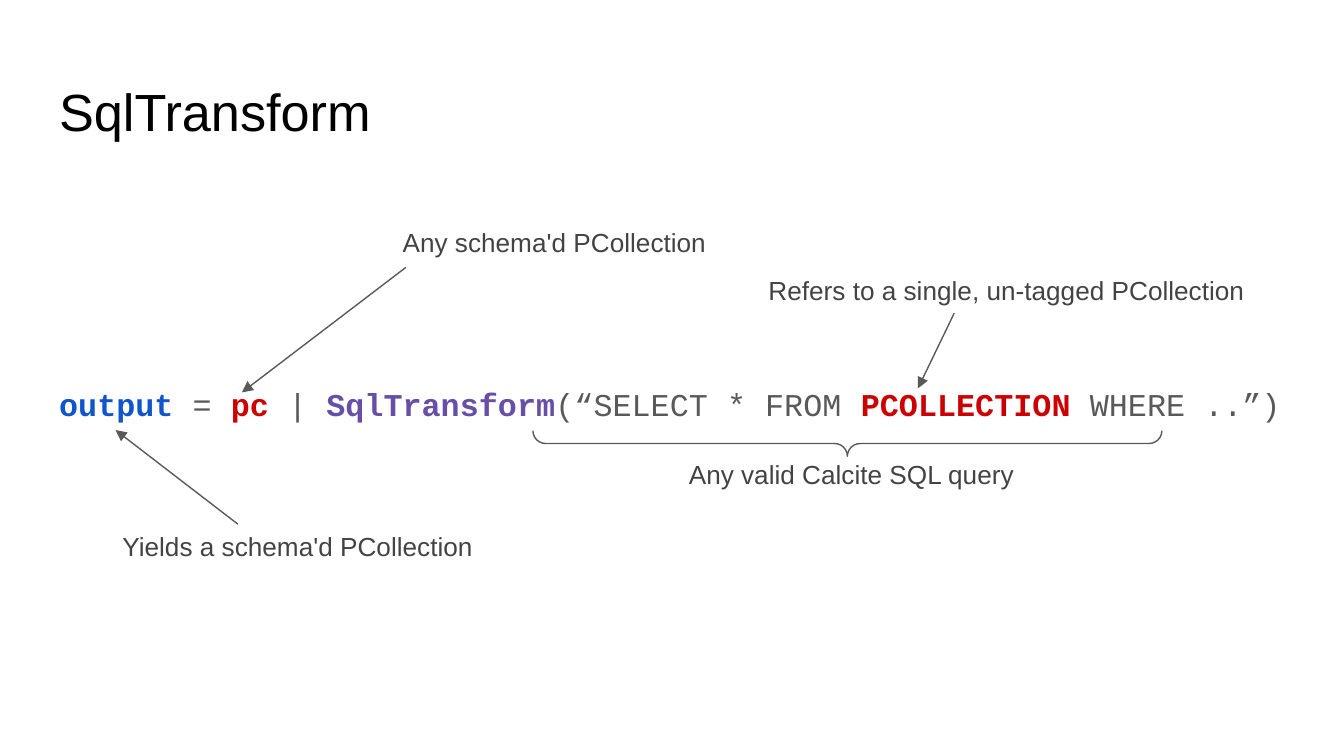
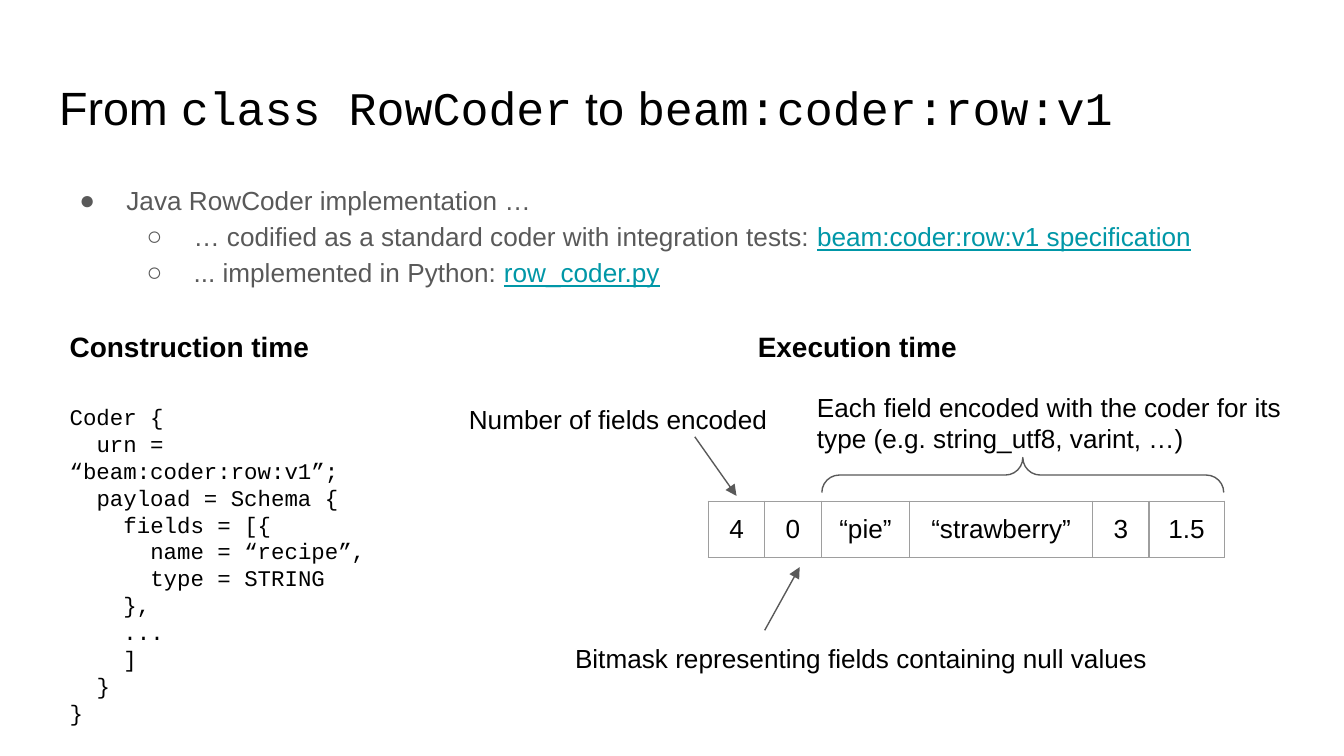
import dataclasses

import lxml.etree
import pptx
import pptx.dml.color
import pptx.enum.shapes
import pptx.enum.text
import pptx.oxml
import pptx.oxml.ns
import pptx.util

RGBColor = pptx.dml.color.RGBColor
ALIGN = pptx.enum.text.PP_ALIGN
ANCHOR = pptx.enum.text.MSO_ANCHOR

BLACK = RGBColor(0x00, 0x00, 0x00)
WHITE = RGBColor(0xFF, 0xFF, 0xFF)
GREY = RGBColor(0x59, 0x59, 0x59)
DARK_GREY = RGBColor(0x43, 0x43, 0x43)
BORDER_GREY = RGBColor(0x9E, 0x9E, 0x9E)
BLUE = RGBColor(0x11, 0x55, 0xCC)
RED = RGBColor(0xCC, 0x00, 0x00)
PURPLE = RGBColor(0x67, 0x4E, 0xA7)
TEAL = RGBColor(0x00, 0x97, 0xA7)

SANS, MONO = "Arial", "Courier New"
SLIDE_WIDTH = pptx.util.Inches(10)
SLIDE_HEIGHT = SLIDE_WIDTH * 9 // 16
COLUMN, ROW = SLIDE_WIDTH / 100, SLIDE_HEIGHT / 56.25
INSET = pptx.util.Inches(0.1)
LINE_WIDTH = pptx.util.Pt(0.75)


@dataclasses.dataclass(frozen=True)
class Style:
    """Character formatting of a run."""
    size: float
    colour: RGBColor = BLACK
    font: str = SANS
    bold: bool = False
    underline: bool = False


@dataclasses.dataclass(frozen=True)
class Box:
    """Area measured in grid columns and rows."""
    left: float
    top: float
    width: float
    height: float

    def inner(self, left, top, width, height):
        """Return an area given relative to this one."""
        return Box(self.left + left, self.top + top, width, height)

    def point(self, column, row):
        """Return the slide position of a grid point in this area."""
        return round((self.left + column) * COLUMN), round((self.top + row) * ROW)

    def emu(self):
        """Return left, top, width and height in slide units."""
        return (*self.point(0, 0), round(self.width * COLUMN), round(self.height * ROW))


TITLE_BOX = Box(3.4, 4.9, 93.2, 6.3)
DIAGRAM_BOX = Box(0, 14, 100, 36)
LIST_BOX = Box(3.4, 12.4, 93.2, 9.1)
CONSTRUCTION_BOX = Box(4.2, 23.5, 29.4, 30.3)
EXECUTION_BOX = Box(33, 23, 65, 28)

NOTE = Style(14, DARK_GREY)
LABEL = Style(14)
HEADING = Style(15, bold=True)
LISTING = Style(12, font=MONO)


def add_runs(paragraph, runs):
    """Append styled runs to a paragraph."""
    for text, style in runs:
        run = paragraph.add_run()
        run.text = text
        font = run.font
        font.name, font.size = style.font, pptx.util.Pt(style.size)
        font.bold, font.underline = style.bold, style.underline
        font.color.rgb = style.colour


def set_frame(frame, anchor=ANCHOR.TOP):
    """Give a text frame the shared insets, wrapping and anchor."""
    frame.word_wrap = True
    frame.auto_size = pptx.enum.text.MSO_AUTO_SIZE.NONE
    frame.vertical_anchor = anchor
    frame.margin_left = frame.margin_right = INSET
    frame.margin_top = frame.margin_bottom = INSET


def set_indent(paragraph, margin, first_line):
    """Set the left margin and first-line indent in inches."""
    properties = paragraph._p.get_or_add_pPr()
    properties.set("marL", str(pptx.util.Inches(margin)))
    properties.set("indent", str(pptx.util.Inches(first_line)))
    return properties


def add_child(parent, tag, **attributes):
    """Append a drawing element to a parent."""
    return lxml.etree.SubElement(parent, pptx.oxml.ns.qn(tag), attributes)


def move_placeholder(placeholder, box):
    """Place a placeholder and return its formatted text frame."""
    placeholder.left, placeholder.top, placeholder.width, placeholder.height = box.emu()
    set_frame(placeholder.text_frame)
    return placeholder.text_frame


def add_text(slide, box, text, style, align=ALIGN.LEFT, anchor=ANCHOR.TOP):
    """Add a one-paragraph text box."""
    frame = slide.shapes.add_textbox(*box.emu()).text_frame
    set_frame(frame, anchor)
    frame.paragraphs[0].alignment = align
    add_runs(frame.paragraphs[0], [(text, style)])


def add_arrow(slide, start, end):
    """Draw a thin arrow between two slide positions."""
    arrow = slide.shapes.add_connector(
        pptx.enum.shapes.MSO_CONNECTOR.STRAIGHT, *start, *end)
    arrow.line.color.rgb = GREY
    arrow.line.width = LINE_WIDTH
    add_child(arrow.line._get_or_add_ln(), "a:tailEnd", type="triangle")
    add_child(arrow._element.spPr, "a:effectLst")


def add_brace(slide, box, rotation):
    """Draw a brace lying flat in the given area."""
    left, top, width, height = box.emu()
    shift = (width - height) // 2
    brace = slide.shapes.add_shape(
        pptx.enum.shapes.MSO_SHAPE.LEFT_BRACE, left + shift, top - shift, height, width)
    brace.rotation = rotation
    brace.adjustments[0] = brace.adjustments[1] = 0.5
    brace.shadow.inherit = False
    brace.fill.background()
    brace.line.color.rgb = GREY
    brace.line.width = LINE_WIDTH


def add_titled_slide(deck, title_runs):
    """Add a white slide with its title."""
    slide = deck.slides.add_slide(deck.slide_layouts[1])
    slide.background.fill.solid()
    slide.background.fill.fore_color.rgb = WHITE
    paragraph = move_placeholder(slide.shapes.title, TITLE_BOX).paragraphs[0]
    paragraph.alignment = ALIGN.LEFT
    add_runs(paragraph, title_runs)
    return slide


def add_expression(slide, box):
    """Write the transform expression on one line."""
    frame = move_placeholder(slide.placeholders[1], box)
    frame.margin_top = pptx.util.Inches(1.3)
    paragraph = frame.paragraphs[0]
    paragraph.space_before = pptx.util.Pt(0)
    add_child(set_indent(paragraph, 0, 0), "a:buNone")
    parts = [("output", BLUE), (" = ", GREY), ("pc", RED), (" | ", GREY),
             ("SqlTransform", PURPLE), ("(“SELECT * FROM ", GREY),
             ("PCOLLECTION", RED), (" WHERE ..”)", GREY)]
    add_runs(paragraph, [(text, Style(17, colour, MONO, colour != GREY))
                         for text, colour in parts])


def add_transform_diagram(slide, box):
    """Place the expression and the notes that explain it."""
    add_expression(slide, box.inner(3.4, 1.6, 93.2, 32.7))
    add_brace(slide, box.inner(39.65, 18.05, 46.8, 1.9), 270)
    notes = [("Any schema'd PCollection", (27.3, 0.9, 27.9, 6.2)),
             ("Any valid Calcite SQL query", (49.4, 19.1, 27.9, 4.4)),
             ("Refers to a single, un-tagged PCollection", (55.9, 5.4, 38, 4.4)),
             ("Yields a schema'd PCollection", (6.4, 23.5, 31.5, 6.2))]
    for text, area in notes:
        add_text(slide, box.inner(*area), text, NOTE, ALIGN.CENTER, ANCHOR.MIDDLE)
    for start, end in [((30.2, 5.9), (18, 15.2)), ((71, 9.3), (68.3, 14.9)),
                       ((17.7, 25), (8.6, 18))]:
        add_arrow(slide, box.point(*start), box.point(*end))


def add_coder_list(slide, box):
    """Fill the bulleted list about the row coder."""
    plain, link = Style(14, GREY), Style(14, TEAL, underline=True)
    items = [(0, "●", [("Java RowCoder implementation …", plain)]),
             (1, "○", [("… codified as a standard coder with integration tests: ", plain),
                       ("beam:coder:row:v1 specification", link)]),
             (1, "○", [("... implemented in Python: ", plain), ("row_coder.py", link)])]
    frame = move_placeholder(slide.placeholders[1], box)
    for index, (level, bullet, runs) in enumerate(items):
        paragraph = frame.add_paragraph() if index else frame.paragraphs[0]
        paragraph.level = level
        paragraph.line_spacing = 1.15
        paragraph.space_before = pptx.util.Pt(0)
        properties = set_indent(paragraph, 0.5 * (level + 1), -0.35)
        add_child(add_child(properties, "a:buClr"), "a:srgbClr", val=str(GREY))
        add_child(properties, "a:buChar", char=bullet)
        add_runs(paragraph, runs)


def add_construction(slide, box):
    """Show the coder definition as an indented listing."""
    add_text(slide, box.inner(0, 0, 24.7, 3.5), "Construction time", HEADING)
    listing = [(0, "Coder {"), (1, "urn = “beam:coder:row:v1”;"),
               (1, "payload = Schema {"), (2, "fields = [{"),
               (3, "name = “recipe”,"), (3, "type = STRING"), (2, "},"),
               (2, "..."), (2, "]"), (1, "}"), (0, "}")]
    frame = slide.shapes.add_textbox(*box.inner(0, 5.5, 29.4, 24.8).emu()).text_frame
    set_frame(frame)
    for index, (depth, text) in enumerate(listing):
        paragraph = frame.add_paragraph() if index else frame.paragraphs[0]
        paragraph.line_spacing = pptx.util.Pt(14.4)
        set_indent(paragraph, 0, 0.2 * depth)
        add_runs(paragraph, [(text, LISTING)])


def add_border(cell):
    """Draw a thin border on each side of a cell."""
    properties = cell._tc.get_or_add_tcPr()
    for side in ("a:lnL", "a:lnR", "a:lnT", "a:lnB"):
        line = add_child(properties, side, w=str(LINE_WIDTH))
        add_child(add_child(line, "a:solidFill"), "a:srgbClr", val=str(BORDER_GREY))


def add_encoded_row(slide, box):
    """Add the table of encoded bytes."""
    fields = [("4", 4.2), ("0", 4.2), ("“pie”", 6.6), ("“strawberry”", 13.6),
              ("3", 4.2), ("1.5", 5.6)]
    table = slide.shapes.add_table(1, len(fields), *box.emu()).table
    table.first_row = table.horz_banding = False
    for index, (text, width) in enumerate(fields):
        table.columns[index].width = round(width * COLUMN)
        cell = table.cell(0, index)
        add_border(cell)
        cell.fill.background()
        cell.margin_left = cell.margin_right = INSET
        cell.margin_top = cell.margin_bottom = INSET
        paragraph = cell.text_frame.paragraphs[0]
        paragraph.alignment = ALIGN.CENTER
        add_runs(paragraph, [(text, LABEL)])


def add_execution(slide, box):
    """Show the encoded row with its labels."""
    add_text(slide, box.inner(22.4, 0.5, 24.7, 3.5), "Execution time", HEADING)
    add_encoded_row(slide, box.inner(19.7, 14.3, 38.4, 4.2))
    add_brace(slide, box.inner(28.15, 11.05, 29.9, 2.6), 90)
    labels = [("Number of fields encoded", (0.9, 6, 25.3, 3.1)),
              ("Each field encoded with the coder for its type "
               "(e.g. string_utf8, varint, …)", (26.8, 5.1, 37.2, 8)),
              ("Bitmask representing fields containing null values",
               (8.8, 23.8, 46.2, 3.1))]
    for text, area in labels:
        add_text(slide, box.inner(*area), text, LABEL)
    for start, end in [((18.7, 9.5), (21.8, 13.9)), ((23.9, 23.9), (26.5, 19.2))]:
        add_arrow(slide, box.point(*start), box.point(*end))


def main():
    """Build and save the two slides."""
    deck = pptx.Presentation()
    deck.slide_width, deck.slide_height = SLIDE_WIDTH, SLIDE_HEIGHT

    transform = add_titled_slide(deck, [("SqlTransform", Style(28))])
    add_transform_diagram(transform, DIAGRAM_BOX)

    words, code = Style(25), Style(25, font=MONO)
    coder = add_titled_slide(deck, [("From ", words), ("class RowCoder", code),
                                    (" to ", words), ("beam:coder:row:v1", code)])
    add_coder_list(coder, LIST_BOX)
    add_construction(coder, CONSTRUCTION_BOX)
    add_execution(coder, EXECUTION_BOX)
    deck.save("out.pptx")


if __name__ == "__main__":
    main()
